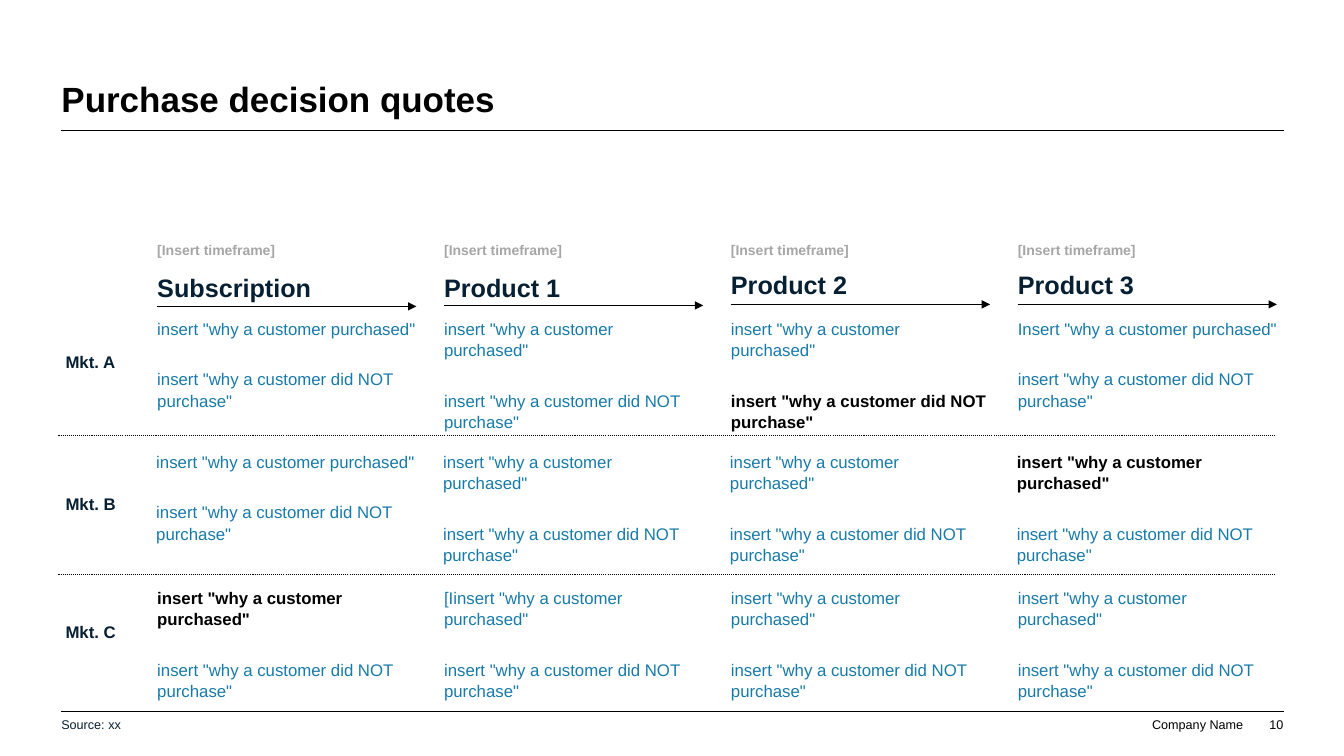
from lxml import etree
from pptx import Presentation
from pptx.dml.color import RGBColor
from pptx.enum import dml, shapes, text
from pptx.oxml.ns import qn
from pptx.util import Inches, Pt

BLACK = RGBColor(0x00, 0x00, 0x00)
NAVY = RGBColor(0x06, 0x1F, 0x32)
BLUE = RGBColor(0x18, 0x7A, 0xA8)
GREY = RGBColor(0xA6, 0xA6, 0xA6)

# Content
TITLE = "Purchase decision quotes"
TIMEFRAME = "[Insert timeframe]"
SOURCE, COMPANY, PAGE_NUMBER = "Source: xx", "Company Name", "10"
BOUGHT = 'insert "why a customer purchased"'
NOT_BOUGHT = 'insert "why a customer did NOT purchase"'
# Product name, top of the name, height of its arrow
PRODUCTS = [
    ("Subscription", 2.7, 3.04),
    ("Product 1", 2.69, 3.03),
    ("Product 2", 2.67, 3.02),
    ("Product 3", 2.67, 3.02),
]
# Market, label top, quote top, quote shift, quote widths
MARKETS = [
    ("Mkt. A", 3.13, 3.14, 0, (2.66, 2.56, 2.56, 2.64)),
    ("Mkt. B", 4.54, 4.46, -0.01, (2.66, 2.56, 2.56, 2.63)),
    ("Mkt. C", 5.81, 5.81, 0, (2.66, 2.56, 2.56, 2.56)),
]
# Quotes that differ from the usual wording, by (market, product)
OTHER_WORDING = {
    (0, 3): 'Insert "why a customer purchased"',
    (2, 1): '[Iinsert "why a customer purchased"',
}
# Highlighted quotes, by (market, product, line)
HIGHLIGHTS = {(0, 2, 1), (1, 3, 0), (2, 0, 0)}

# Layout
FIRST_COLUMN, COLUMN_PITCH, ARROW_LENGTH = 1.56, 2.845, 2.57
RULE_LEFT, RULE_RIGHT = 0.61, 12.73
DIVIDERS = (4.32, 5.7)

deck = Presentation()
deck.slide_width, deck.slide_height = Inches(13.33), Inches(7.5)
page = deck.slides.add_slide(deck.slide_layouts[6])


def add_text(left, top, width, height, lines, size, anchor=text.MSO_ANCHOR.TOP,
             align=text.PP_ALIGN.LEFT, spacing=1.0, gap=0, inset=(0, 0, 0, 0)):
    """Add a text box; each line is (wording, colour, bold)."""
    box = page.shapes.add_textbox(Inches(left), Inches(top), Inches(width), Inches(height))
    frame = box.text_frame
    frame.word_wrap = True
    frame.vertical_anchor = anchor
    (frame.margin_left, frame.margin_top,
     frame.margin_right, frame.margin_bottom) = map(Inches, inset)
    for index, (wording, colour, bold) in enumerate(lines):
        para = frame.add_paragraph() if index else frame.paragraphs[0]
        para.text = wording
        para.alignment = align
        para.line_spacing = spacing
        para.space_after = Pt(gap)
        para.font.name, para.font.size = "Arial", Pt(size)
        para.font.bold, para.font.color.rgb = bold, colour


def add_line(left, right, y, weight, dotted=False, arrow=False):
    line = page.shapes.add_connector(shapes.MSO_CONNECTOR.STRAIGHT,
                                     Inches(left), Inches(y), Inches(right), Inches(y))
    line.line.color.rgb = BLACK
    line.line.width = Pt(weight)
    if dotted:
        line.line.dash_style = dml.MSO_LINE.ROUND_DOT
    if arrow:
        etree.SubElement(line.line._get_or_add_ln(), qn("a:tailEnd"), type="triangle")
    etree.SubElement(line._element.spPr, qn("a:effectLst"))


middle, bottom = text.MSO_ANCHOR.MIDDLE, text.MSO_ANCHOR.BOTTOM
right = text.PP_ALIGN.RIGHT

# Title and footer
add_text(RULE_LEFT, 0.39, 12.12, 0.8, [(TITLE, BLACK, True)], 25, bottom)
for y in (1.29, 7.06):
    add_line(RULE_LEFT, RULE_RIGHT, y, 0.5)
add_text(0.51, 6.99, 7.98, 0.4, [(SOURCE, NAVY, False)], 9, middle,
         inset=(0.1, 0.05, 0.1, 0.05))
add_text(11.33, 7.11, 1, 0.15, [(COMPANY, BLACK, False)], 9, bottom, right)
add_text(12.37, 7.11, 0.36, 0.15, [(PAGE_NUMBER, BLACK, False)], 9, bottom, right)

# Product headings
columns = [FIRST_COLUMN + COLUMN_PITCH * i for i in range(len(PRODUCTS))]
for left, (product, name_top, arrow_y) in zip(columns, PRODUCTS):
    add_text(left, 2.4, 1.73, 0.17, [(TIMEFRAME, GREY, True)], 10)
    add_text(left, name_top, ARROW_LENGTH, 0.31, [(product, NAVY, True)], 18, middle,
             spacing=1.01)
    add_line(left, left + ARROW_LENGTH, arrow_y, 1.25, arrow=True)

# Market rows
for y in DIVIDERS:
    add_line(0.58, 12.65, y, 0.75, dotted=True)
for row, (market, label_top, quote_top, shift, widths) in enumerate(MARKETS):
    add_text(0.63, label_top, 0.78, 0.89, [(market, NAVY, True)], 12, middle,
             spacing=1.1, inset=(0.02, 0.03, 0.02, 0.02))
    for column, (left, width) in enumerate(zip(columns, widths)):
        quotes = []
        for index, wording in enumerate((OTHER_WORDING.get((row, column), BOUGHT), NOT_BOUGHT)):
            strong = (row, column, index) in HIGHLIGHTS
            quotes.append((wording, BLACK if strong else BLUE, strong))
        add_text(left + shift, quote_top, width, 1.15, quotes, 12, spacing=1.06, gap=20.6,
                 inset=(0, 0.01, 0, 0))

deck.save("out.pptx")
